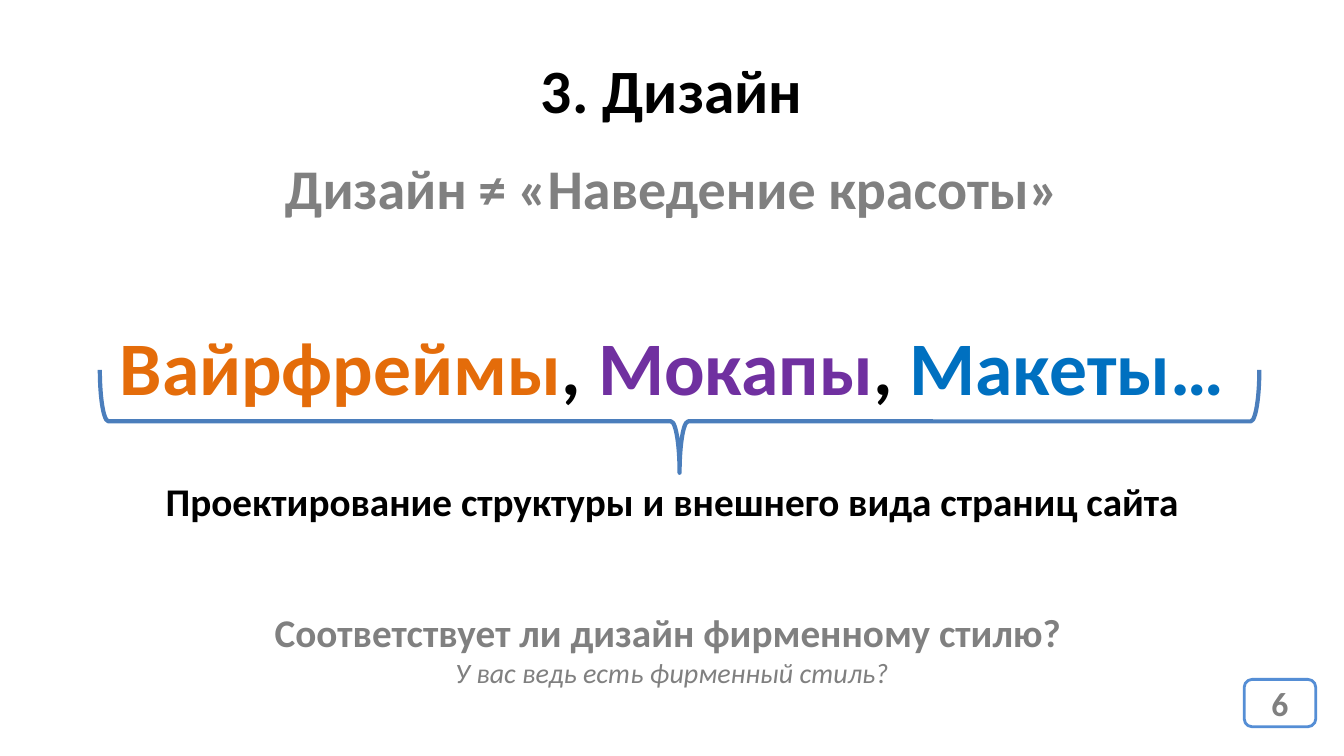
from dataclasses import dataclass

from pptx import Presentation
from pptx.dml.color import RGBColor
from pptx.enum.shapes import MSO_SHAPE
from pptx.enum.text import MSO_ANCHOR, MSO_AUTO_SIZE, PP_ALIGN
from pptx.util import Inches, Pt

ROUNDED = MSO_SHAPE.ROUNDED_RECTANGLE
BRACE = MSO_SHAPE.RIGHT_BRACE
CENTER = PP_ALIGN.CENTER
MIDDLE = MSO_ANCHOR.MIDDLE
GROW = MSO_AUTO_SIZE.SHAPE_TO_FIT_TEXT

FONT = "Calibri"
SLIDE_W, SLIDE_H = 13.33, 7.5
BLACK, GRAY, WHITE = "000000", "808080", "FFFFFF"
ORANGE, PURPLE, BLUE = "E46C0A", "7030A0", "0070C0"
BRACE_BLUE, BADGE_BLUE = "4B7EBC", "558ED5"


@dataclass
class Run:
    text: str
    size: float
    color: str = BLACK
    bold: bool = True
    italic: bool = False


@dataclass
class Line:
    """A full-width text box; each inner list is one paragraph."""
    top: float
    height: float
    paragraphs: list[list[Run]]


LINES = [
    Line(0.47, 0.84, [[Run("3. Дизайн", 44)]]),
    Line(1.47, 0.77, [[
        Run("Дизайн", 40, GRAY),
        Run(" ", 36, GRAY),
        Run("≠", 40, GRAY),
        Run(" ", 36, GRAY),
        Run("«Наведение красоты»", 40, GRAY),
    ]]),
    Line(3.12, 1.01, [[
        Run("Вайрфреймы", 54, ORANGE),
        Run(", ", 54),
        Run("Мокапы", 54, PURPLE),
        Run(", ", 54),
        Run("Макеты…", 54, BLUE),
    ]]),
    Line(4.69, 0.57, [
        [Run("Проектирование структуры и внешнего вида страниц сайта", 28)],
    ]),
    Line(5.99, 0.91, [
        [Run("Соответствует ли дизайн фирменному стилю? ", 28, GRAY)],
        [Run("У вас ведь есть фирменный стиль?", 20, GRAY, False, True)],
    ]),
]


def rgb(color: str) -> RGBColor:
    return RGBColor.from_string(color)


def add_text(tf, paragraphs: list[list[Run]]) -> None:
    tf.word_wrap = True
    for i, runs in enumerate(paragraphs):
        p = tf.paragraphs[0] if i == 0 else tf.add_paragraph()
        p.alignment = CENTER
        for run in runs:
            r = p.add_run()
            r.text = run.text
            r.font.name = FONT
            r.font.size = Pt(run.size)
            r.font.bold = run.bold
            r.font.italic = run.italic
            r.font.color.rgb = rgb(run.color)


def add_line(s, line: Line) -> None:
    box = s.shapes.add_textbox(0, Inches(line.top), Inches(SLIDE_W), Inches(line.height))
    add_text(box.text_frame, line.paragraphs)
    box.text_frame.auto_size = GROW


def add_outlined(s, kind, left: float, top: float, width: float, height: float,
                 color: str, weight: float):
    sp = s.shapes.add_shape(kind, Inches(left), Inches(top), Inches(width), Inches(height))
    sp.shadow.inherit = False
    sp.fill.background()
    sp.line.color.rgb = rgb(color)
    sp.line.width = Pt(weight)
    return sp


def add_page_number(s, number: str) -> None:
    sp = add_outlined(s, ROUNDED, 12.34, 6.74, 0.71, 0.47, BADGE_BLUE, 2)
    sp.fill.solid()
    sp.fill.fore_color.rgb = rgb(WHITE)
    sp.text_frame.vertical_anchor = MIDDLE
    add_text(sp.text_frame, [[Run(number, 24, GRAY)]])


def main() -> None:
    prs = Presentation()
    prs.slide_width, prs.slide_height = Inches(SLIDE_W), Inches(SLIDE_H)
    s = prs.slides.add_slide(prs.slide_layouts[6])
    for line in LINES:
        add_line(s, line)
    add_page_number(s, "6")
    brace = add_outlined(s, BRACE, 6.23, -1.57, 1.02, 11.5, BRACE_BLUE, 3)
    brace.rotation = 90
    prs.save("out.pptx")


if __name__ == "__main__":
    main()
